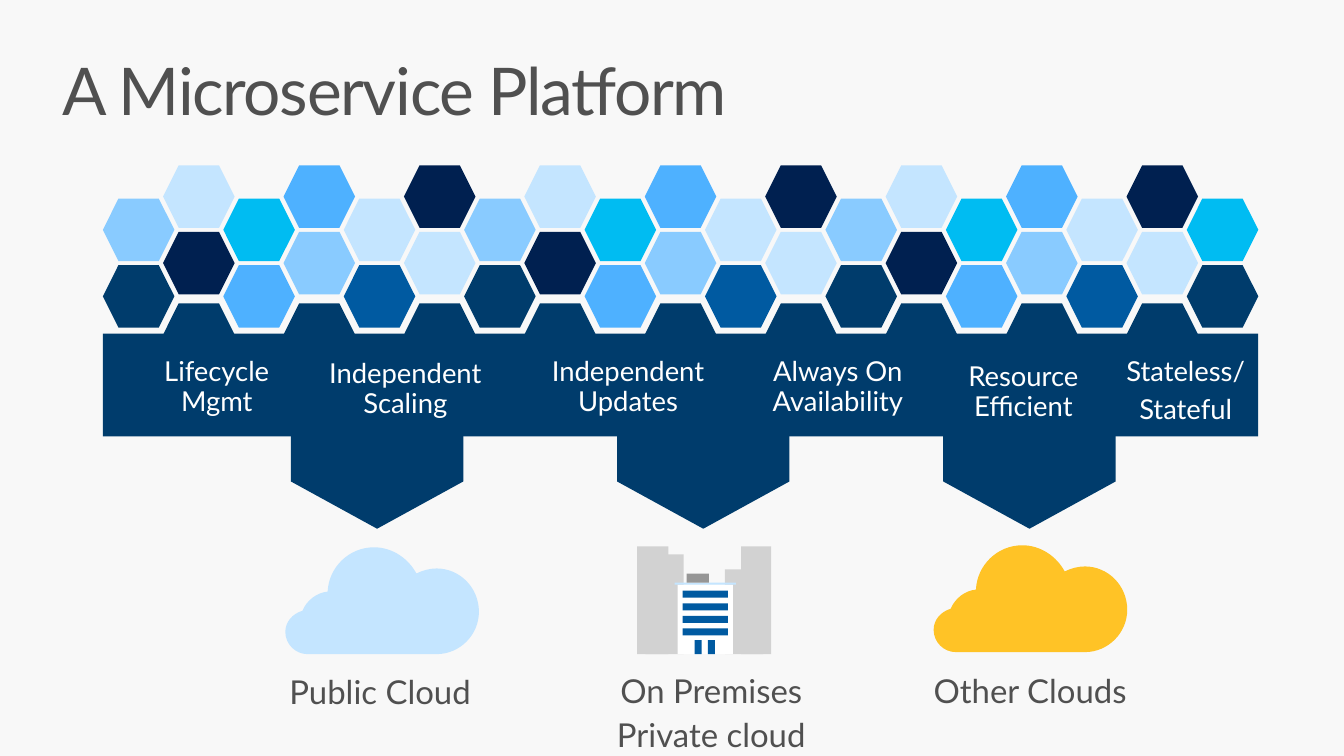
from lxml import etree
from pptx import Presentation
from pptx import util as u
from pptx.dml import color
from pptx.enum import shapes, text
from pptx.oxml import ns

SLIDE_WIDTH, SLIDE_HEIGHT = 13.33, 7.5
FONT = "Lato"
NAVY, GREY, WHITE = "003C6C", "505050", "FFFFFF"
PALE, BLUE, SILVER = "C4E5FF", "005AA1", "D2D2D2"
HEX_WIDTH, HEX_HEIGHT = 0.71, 0.62
HEX_COLUMNS, ROW_STEP = 19, 0.66
HEX_COLOURS = [
    ("89CBFF", NAVY), (PALE, "002050"), ("00BCF2", "4EB1FF"),
    ("4EB1FF", "89CBFF"), (PALE, BLUE), ("002050", PALE),
]
LAST_COLOURS = ("00BCF2", NAVY)
CLOUD_START = (150, 106)
CLOUD_CURVES = [
    ((22, 106), (22, 106), (22, 106)),
    ((10, 106), (0, 96), (0, 84)),
    ((0, 74), (7, 66), (17, 63)),
    ((21, 53), (31, 45), (42, 44)),
    ((43, 20), (63, 0), (88, 0)),
    ((106, 0), (122, 11), (130, 26)),
    ((136, 23), (143, 21), (150, 21)),
    ((173, 21), (192, 40), (192, 64)),
    ((192, 87), (173, 106), (150, 106)),
]
CAPABILITIES = [
    ("Lifecycle\vMgmt", (1.36, 3.39, 1.58, 0.93)),
    ("Independent Scaling", (2.97, 3.41, 2.1, 0.93)),
    ("Independent Updates", (5.18, 3.39, 2.1, 0.93)),
    ("Always On\vAvailability", (7.42, 3.39, 1.78, 0.92)),
    ("Resource\vEfficient", (9.26, 3.44, 1.78, 0.91)),
    ("Stateless/\nStateful", (10.87, 3.39, 1.78, 0.99)),
]


def rgb(value):
    return color.RGBColor.from_string(value)


def paint(shape, fill):
    shape.fill.solid()
    shape.fill.fore_color.rgb = rgb(fill)
    shape.line.fill.background()
    shape.shadow.inherit = False


def add_shape(parent, kind, box, fill):
    shape = parent.shapes.add_shape(kind, *map(u.Inches, box))
    paint(shape, fill)
    return shape


def add_hexagon(parent, left, top, fill):
    box = (left, top, HEX_WIDTH, HEX_HEIGHT)
    add_shape(parent, shapes.MSO_SHAPE.HEXAGON, box, fill)


def format_text(shape, content, size, fill, align, margins):
    frame = shape.text_frame
    frame.text = content
    frame.word_wrap = True
    frame.vertical_anchor = text.MSO_ANCHOR.TOP
    frame.margin_left = frame.margin_right = u.Inches(margins[0])
    frame.margin_top = frame.margin_bottom = u.Inches(margins[1])
    for paragraph in frame.paragraphs:
        paragraph.alignment = align
        paragraph.line_spacing = 0.9
        for run in paragraph.runs:
            run.font.name = FONT
            run.font.size = u.Pt(size)
            run.font.color.rgb = rgb(fill)


def add_label(slide, content, box, size, fill, align=text.PP_ALIGN.CENTER):
    label = slide.shapes.add_textbox(*map(u.Inches, box))
    format_text(label, content, size, fill, align, (0.2, 0.16))
    label.text_frame.auto_size = text.MSO_AUTO_SIZE.SHAPE_TO_FIT_TEXT
    for paragraph in label.text_frame.paragraphs:
        paragraph.space_after = u.Pt(5.9)


def add_title(slide, box):
    title = slide.shapes.title
    title.left, title.top, title.width, title.height = map(u.Inches, box)
    format_text(title, "A Microservice Platform", 47, GREY,
                text.PP_ALIGN.LEFT, (0.16, 0.1))
    title.text_frame.auto_size = text.MSO_AUTO_SIZE.NONE
    for run in title.text_frame.paragraphs[0].runs:
        run._r.get_or_add_rPr().set("spc", "-100")


def add_platform(slide, box):
    left, top, width, height = box
    step = (width - HEX_WIDTH) / (HEX_COLUMNS - 1)
    for column in range(1, HEX_COLUMNS, 2):
        add_hexagon(slide, left + column * step, top - 0.3, NAVY)
    for index in range(3):
        arrow = add_shape(slide, shapes.MSO_SHAPE.PENTAGON,
                          (left + 2.11 + index * 3.235, top + 0.47, 1.22, 1.71), NAVY)
        arrow.rotation = 90
        arrow.adjustments[0] = 0.384
    add_shape(slide, shapes.MSO_SHAPE.RECTANGLE, box, NAVY)


def add_honeycomb(slide, box):
    left, top, width, height = box
    step = (width - HEX_WIDTH) / (HEX_COLUMNS - 1)
    honeycomb = slide.shapes.add_group_shape()
    for column in range(HEX_COLUMNS):
        colours = HEX_COLOURS[column % len(HEX_COLOURS)]
        if column == HEX_COLUMNS - 1:
            colours = LAST_COLOURS
        offset = 0 if column % 2 else ROW_STEP / 2
        for row, fill in enumerate(colours):
            add_hexagon(honeycomb, left + column * step,
                        top + offset + row * ROW_STEP, fill)


def add_cloud(slide, left, top, fill):
    builder = slide.shapes.build_freeform(*CLOUD_START, scale=u.Inches(0.01))
    builder.add_line_segments([curve[-1] for curve in CLOUD_CURVES], close=True)
    cloud = builder.convert_to_shape(u.Inches(left), u.Inches(top))
    segments = list(cloud._element.iter(ns.qn("a:lnTo")))
    for segment, curve in zip(segments, CLOUD_CURVES):
        segment.tag = ns.qn("a:cubicBezTo")
        for index, (x, y) in enumerate(curve[:2]):
            handle = etree.Element(ns.qn("a:pt"), x=str(x), y=str(y))
            segment.insert(index, handle)
    paint(cloud, fill)


def add_building(slide, left, top):
    parts = [
        ((1.03, 0, 0.3, 1.07), SILVER), ((0, 0, 0.31, 1.07), SILVER),
        ((0.08, 0.08, 0.38, 0.99), SILVER), ((0.87, 0.23, 0.38, 0.84), SILVER),
        ((0.4, 0.38, 0.55, 0.69), WHITE), ((0.37, 0.36, 0.61, 0.02), PALE),
    ]
    parts += [((x, 0.93, 0.07, 0.14), BLUE) for x in (0.7, 0.57)]
    parts += [((0.45, 0.44 + 0.125 * floor, 0.45, 0.07), BLUE) for floor in range(4)]
    parts.append(((0.49, 0.27, 0.22, 0.09), "969696"))
    building = slide.shapes.add_group_shape()
    for (x, y, width, height), fill in parts:
        add_shape(building, shapes.MSO_SHAPE.RECTANGLE,
                  (left + x, top + y, width, height), fill)


def add_targets(slide):
    add_label(slide, "Public Cloud", (2.67, 6.55, 2.79, 0.68), 23.5, GREY,
              text.PP_ALIGN.LEFT)
    add_cloud(slide, 2.83, 5.43, PALE)
    add_label(slide, "Other Clouds", (9.06, 6.54, 3.11, 0.68), 23.5, GREY,
              text.PP_ALIGN.LEFT)
    add_cloud(slide, 9.26, 5.41, "FFC326")
    add_label(slide, "On Premises\nPrivate cloud", (5.68, 6.54, 2.75, 1.11), 23.5, GREY)
    add_building(slide, 6.32, 5.42)


def main():
    presentation = Presentation()
    presentation.slide_width = u.Inches(SLIDE_WIDTH)
    presentation.slide_height = u.Inches(SLIDE_HEIGHT)
    slide = presentation.slides.add_slide(presentation.slide_layouts[5])
    slide.background.fill.solid()
    slide.background.fill.fore_color.rgb = rgb("F8F8F8")
    add_platform(slide, (1.02, 3.31, 11.46, 1.02))
    add_honeycomb(slide, (1.02, 1.64, 11.46, 1.61))
    add_targets(slide)
    for content, box in CAPABILITIES:
        add_label(slide, content, box, 19.6, WHITE)
    add_title(slide, (0.46, 0.48, 12.75, 0.98))
    presentation.save("out.pptx")


if __name__ == "__main__":
    main()
